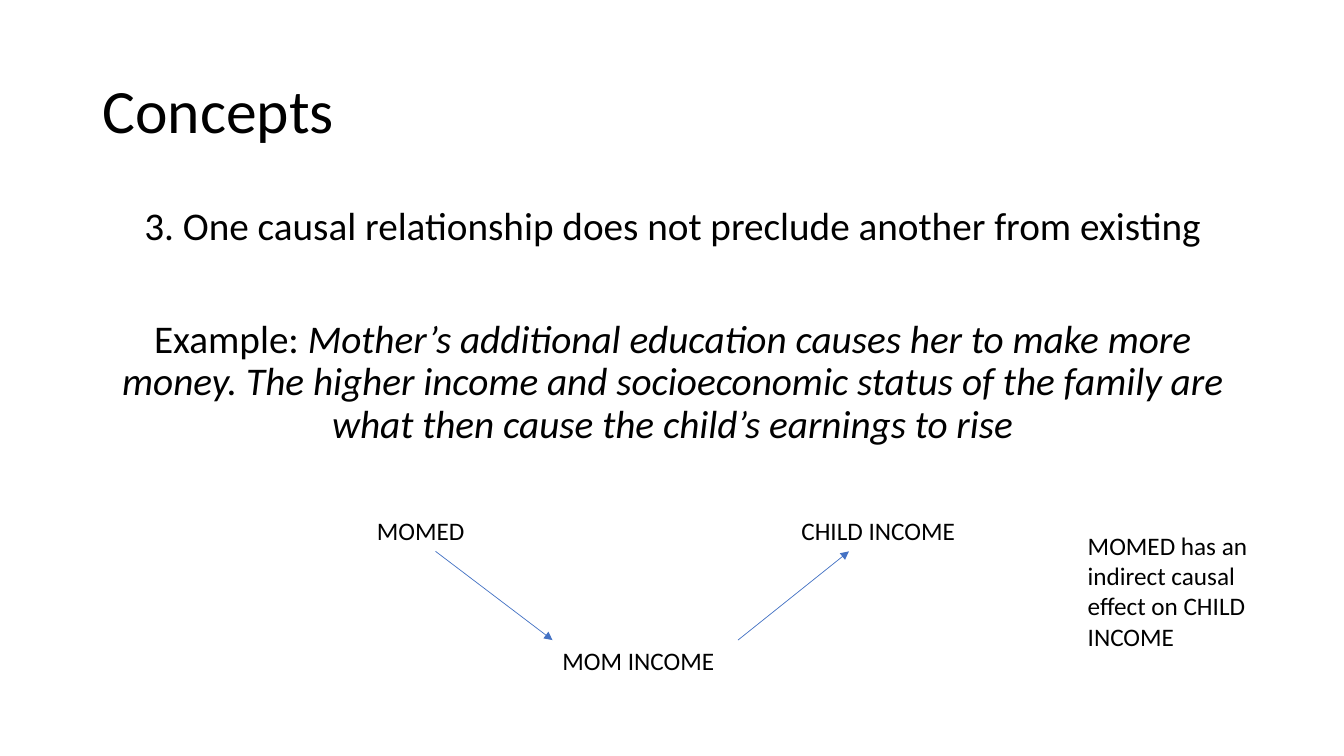
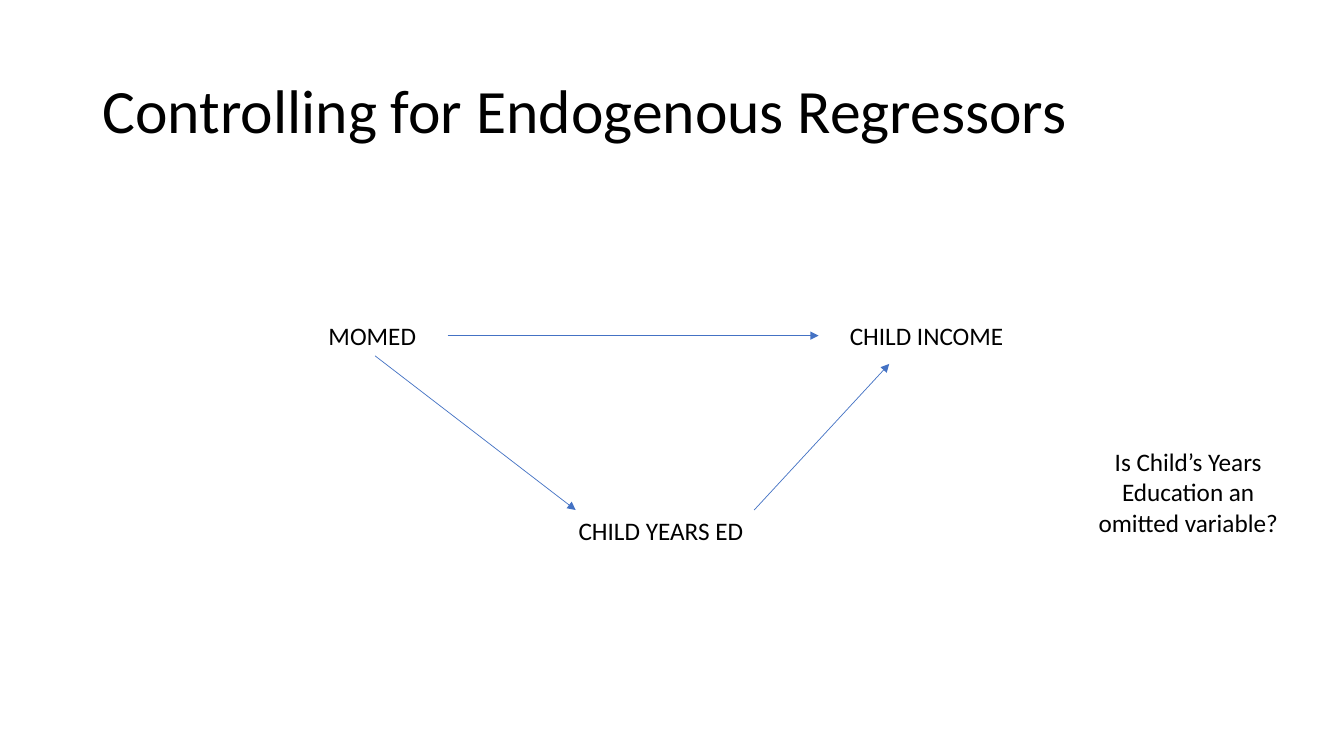
"""Builds two slides on causal paths from a mother's education to a child's income."""
from dataclasses import dataclass

from lxml.etree import SubElement
from pptx import Presentation
from pptx.dml.color import RGBColor
from pptx.enum.shapes import MSO_CONNECTOR as Connector
from pptx.enum.text import MSO_ANCHOR as Anchor, MSO_AUTO_SIZE as AutoSize, PP_ALIGN as Align
from pptx.oxml.ns import qn
from pptx.slide import Slide
from pptx.util import Inches, Pt

COLORS = {"text": "000000", "arrow": "4472C4"}
FONT = "Calibri"
LEFT, WIDTH = 0.92, 11.5
LABEL_WIDTH, LABEL_HEIGHT = 1.84, 0.4


@dataclass(frozen=True)
class Run:
    text: str
    italic: bool = False


@dataclass(frozen=True)
class Paragraph:
    runs: tuple[Run, ...]
    space_before: float = 0


@dataclass(frozen=True)
class TextBlock:
    left: float
    top: float
    width: float
    height: float
    paragraphs: tuple[Paragraph, ...]
    size: int = 18
    align: Align = Align.LEFT
    anchor: Anchor = Anchor.TOP
    line_spacing: float = 1.0
    auto_size: AutoSize = AutoSize.SHAPE_TO_FIT_TEXT


@dataclass(frozen=True)
class Arrow:
    start: tuple[float, float]
    end: tuple[float, float]


def plain(text: str) -> tuple[Paragraph, ...]:
    return (Paragraph((Run(text),)),)


def title(text: str) -> TextBlock:
    return TextBlock(LEFT, 0.4, WIDTH, 1.45, plain(text), size=44, anchor=Anchor.MIDDLE,
                     line_spacing=0.9, auto_size=AutoSize.NONE)


def variable(text: str, left: float, top: float) -> TextBlock:
    return TextBlock(left, top, LABEL_WIDTH, LABEL_HEIGHT, plain(text))


def draw_text(slide: Slide, block: TextBlock) -> None:
    box = slide.shapes.add_textbox(Inches(block.left), Inches(block.top),
                                   Inches(block.width), Inches(block.height))
    frame = box.text_frame
    frame.word_wrap = True
    frame.auto_size = block.auto_size
    frame.vertical_anchor = block.anchor
    for index, content in enumerate(block.paragraphs):
        paragraph = frame.add_paragraph() if index else frame.paragraphs[0]
        paragraph.alignment = block.align
        paragraph.line_spacing = block.line_spacing
        paragraph.space_before = Pt(content.space_before)
        for part in content.runs:
            run = paragraph.add_run()
            run.text = part.text
            run.font.name = FONT
            run.font.size = Pt(block.size)
            run.font.italic = part.italic
            run.font.color.rgb = RGBColor.from_string(COLORS["text"])


def draw_arrow(slide: Slide, arrow: Arrow) -> None:
    ends = (Inches(value) for value in (*arrow.start, *arrow.end))
    connector = slide.shapes.add_connector(Connector.STRAIGHT, *ends)
    connector.line.width = Pt(0.5)
    connector.line.color.rgb = RGBColor.from_string(COLORS["arrow"])
    SubElement(connector.line._get_or_add_ln(), qn("a:tailEnd"), type="triangle")
    SubElement(connector._element.spPr, qn("a:effectLst"))


CONCEPTS = (
    title("Concepts"),
    TextBlock(LEFT, 2, WIDTH, 4.76, (
        Paragraph((Run("3. One causal relationship does not preclude another from existing"),), 10),
        Paragraph((
            Run("Example: "),
            Run("Mother’s additional education causes her to make more money. "
                "The higher income and socioeconomic status of the family are "
                "what then cause the child’s earnings to rise", italic=True),
        ), 50.5),
    ), size=28, align=Align.CENTER, line_spacing=0.9, auto_size=AutoSize.NONE),
    variable("MOMED", 3.64, 5.06),
    variable("CHILD INCOME", 7.85, 5.06),
    variable("MOM INCOME", 5.48, 6.35),
    Arrow((4.32, 5.47), (5.48, 6.35)),
    Arrow((7.32, 6.35), (8.42, 5.47)),
    TextBlock(10.69, 5.21, 2.26, 1.31,
              plain("MOMED has an indirect causal effect on CHILD INCOME")),
)

ENDOGENOUS_REGRESSORS = (
    title("Controlling for Endogenous Regressors"),
    variable("MOMED", 3.16, 3.13),
    variable("CHILD INCOME", 8.33, 3.13),
    variable("CHILD YEARS ED", 5.64, 5.06),
    Arrow((4.44, 3.33), (8.12, 3.33)),
    TextBlock(10.65, 4.38, 2.27, 1.01,
              plain("Is Child’s Years Education an omitted variable?"), align=Align.CENTER),
    Arrow((3.72, 3.53), (5.71, 5.06)),
    Arrow((7.48, 5.06), (8.82, 3.61)),
)


def main() -> None:
    deck = Presentation()
    deck.slide_width, deck.slide_height = Inches(13.33), Inches(7.5)
    for elements in (CONCEPTS, ENDOGENOUS_REGRESSORS):
        slide = deck.slides.add_slide(deck.slide_layouts[6])
        for element in elements:
            if isinstance(element, Arrow):
                draw_arrow(slide, element)
            else:
                draw_text(slide, element)
    deck.save("out.pptx")


if __name__ == "__main__":
    main()
